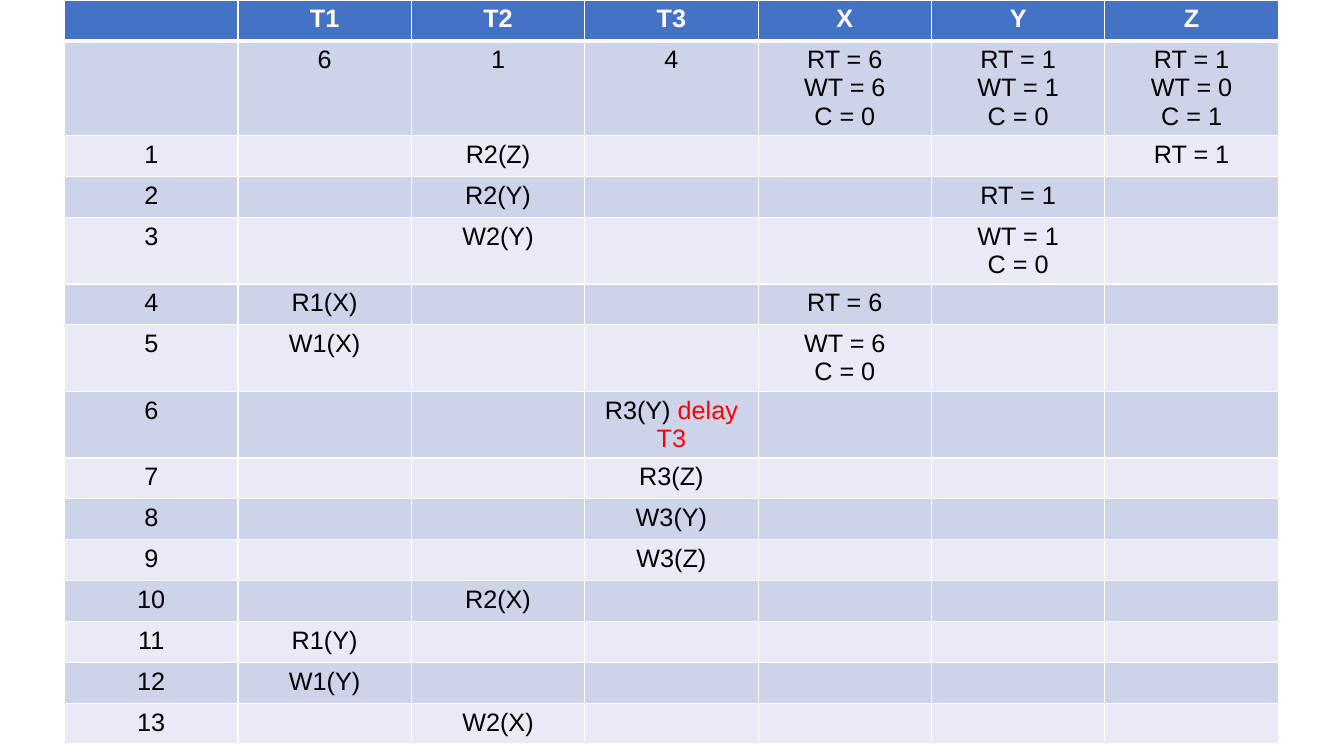
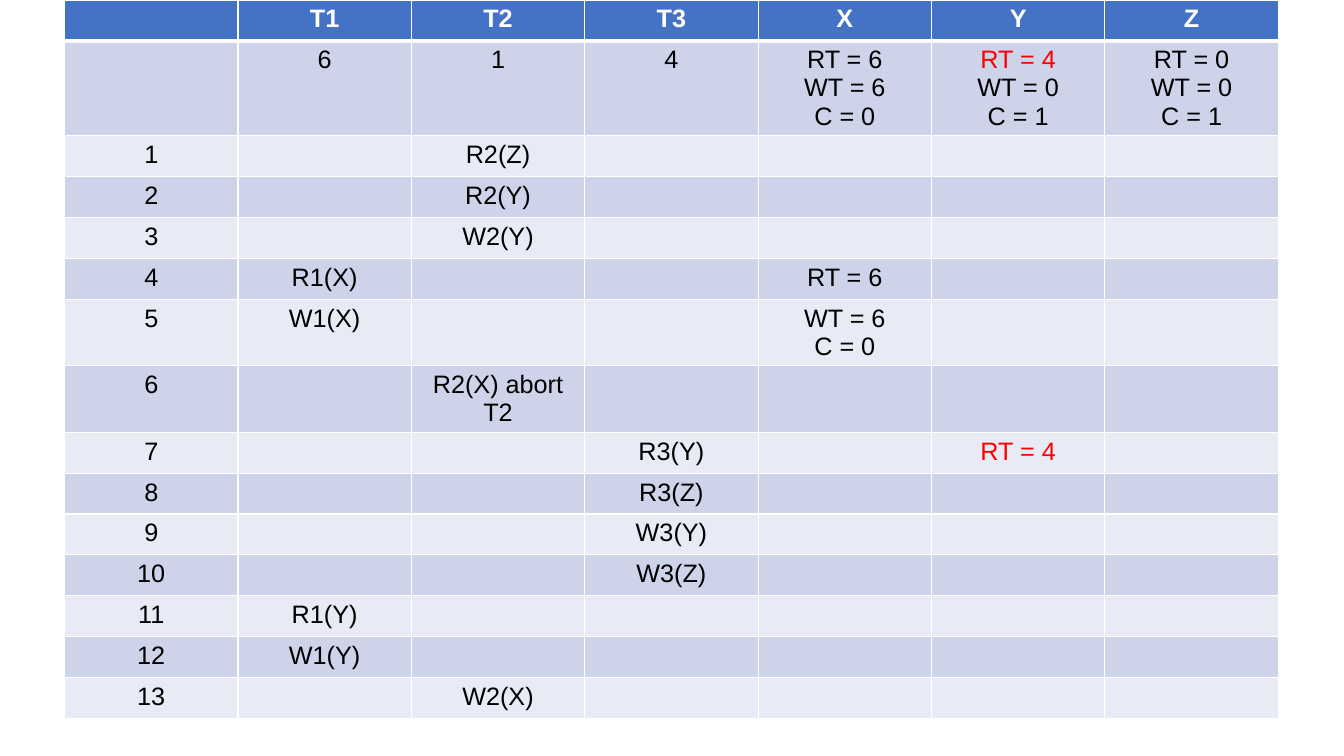
import math

from lxml import etree
from pptx import Presentation
from pptx.dml.color import RGBColor
from pptx.enum import text as t
from pptx.oxml import ns
from pptx.util import Inches, Pt

WHITE, BLACK, RED = "FFFFFF", "000000", "FF0000"
HEADER, BANDS = "4472C4", ("E8EBF5", "CDD4EA")
COLUMNS = ["", "T1", "T2", "T3", "X", "Y", "Z"]
COLUMN_WIDTH = 1.72
LINE_HEIGHT, CELL_PADDING = 0.28, 0.1
CHARACTERS_PER_LINE = 12

# Each schedule: starting timestamps, then (transaction, operation, item updates).
# Text between asterisks is red.
schedules = [
    (
        ["RT = 6\nWT = 6\nC = 0", "RT = 1\nWT = 1\nC = 0", "RT = 1\nWT = 0\nC = 1"],
        [
            ("T2", "R2(Z)", {"Z": "RT = 1"}),
            ("T2", "R2(Y)", {"Y": "RT = 1"}),
            ("T2", "W2(Y)", {"Y": "WT = 1\nC = 0"}),
            ("T1", "R1(X)", {"X": "RT = 6"}),
            ("T1", "W1(X)", {"X": "WT = 6\nC = 0"}),
            ("T3", "R3(Y) *delay T3*", {}),
            ("T3", "R3(Z)", {}),
            ("T3", "W3(Y)", {}),
            ("T3", "W3(Z)", {}),
            ("T2", "R2(X)", {}),
            ("T1", "R1(Y)", {}),
            ("T1", "W1(Y)", {}),
            ("T2", "W2(X)", {}),
        ],
    ),
    (
        ["RT = 6\nWT = 6\nC = 0", "*RT = 4*\nWT = 0\nC = 1", "RT = 0\nWT = 0\nC = 1"],
        [
            ("T2", "R2(Z)", {}),
            ("T2", "R2(Y)", {}),
            ("T2", "W2(Y)", {}),
            ("T1", "R1(X)", {"X": "RT = 6"}),
            ("T1", "W1(X)", {"X": "WT = 6\nC = 0"}),
            ("T2", "R2(X) abort T2", {}),
            ("T3", "R3(Y)", {"Y": "*RT = 4*"}),
            ("T3", "R3(Z)", {}),
            ("T3", "W3(Y)", {}),
            ("T3", "W3(Z)", {}),
            ("T1", "R1(Y)", {}),
            ("T1", "W1(Y)", {}),
            ("T2", "W2(X)", {}),
        ],
    ),
]


def write(frame, content, color=BLACK, bold=False, size=18, font="Arial"):
    for index, line in enumerate(content.split("\n")):
        paragraph = frame.paragraphs[0] if index == 0 else frame.add_paragraph()
        paragraph.alignment = t.PP_ALIGN.CENTER
        for part, words in enumerate(line.split("*")):
            if words:
                run = paragraph.add_run()
                run.text = words
                run.font.name, run.font.size, run.font.bold = font, Pt(size), bold
                run.font.color.rgb = RGBColor.from_string(RED if part % 2 else color)


def style_cell(cell, fill, top=1, bottom=1):
    properties = cell._tc.get_or_add_tcPr()
    for side, width in (("L", 1), ("R", 1), ("T", top), ("B", bottom)):
        border = etree.SubElement(properties, ns.qn(f"a:ln{side}"), w=str(Pt(width)))
        solid = etree.SubElement(border, ns.qn("a:solidFill"))
        etree.SubElement(solid, ns.qn("a:srgbClr"), val=WHITE)
    cell.fill.solid()
    cell.fill.fore_color.rgb = RGBColor.from_string(fill)


presentation = Presentation()
presentation.slide_width, presentation.slide_height = Inches(13.33), Inches(7.5)

for item_states, steps in schedules:
    # Expand the schedule into table rows
    rows = [COLUMNS, ["", "6", "1", "4", *item_states]]
    for number, (transaction, operation, updates) in enumerate(steps, 1):
        entries = {"": str(number), transaction: operation, **updates}
        rows.append([entries.get(name, "") for name in COLUMNS])
    heights = [
        CELL_PADDING + LINE_HEIGHT * max(
            sum(max(1, math.ceil(len(line.replace("*", "")) / CHARACTERS_PER_LINE))
                for line in content.split("\n"))
            for content in row)
        for row in rows
    ]

    # Table
    slide = presentation.slides.add_slide(presentation.slide_layouts[6])
    table = slide.shapes.add_table(
        len(rows), len(COLUMNS), Inches(0.64), Inches(0),
        Inches(COLUMN_WIDTH * len(COLUMNS)), Inches(sum(heights))).table
    for column in table.columns:
        column.width = Inches(COLUMN_WIDTH)

    # Cells
    for row_index, (row, height) in enumerate(zip(rows, heights)):
        table.rows[row_index].height = Inches(height)
        is_header = row_index == 0
        for column_index, content in enumerate(row):
            cell = table.cell(row_index, column_index)
            style_cell(cell, HEADER if is_header else BANDS[row_index % 2],
                       top=3 if row_index == 1 else 1, bottom=3 if is_header else 1)
            write(cell.text_frame, content, color=WHITE if is_header else BLACK,
                  bold=is_header)

presentation.save("out.pptx")
